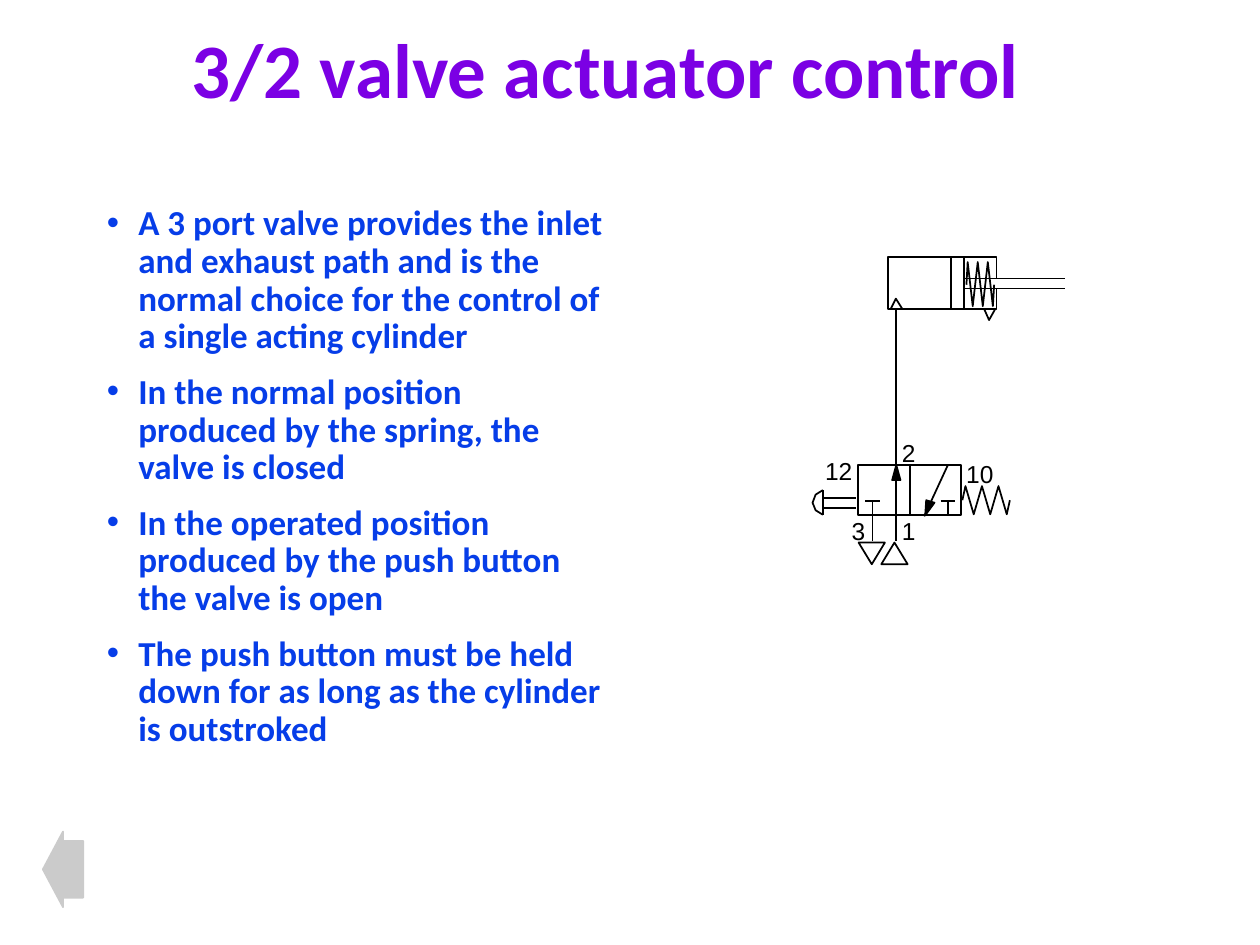
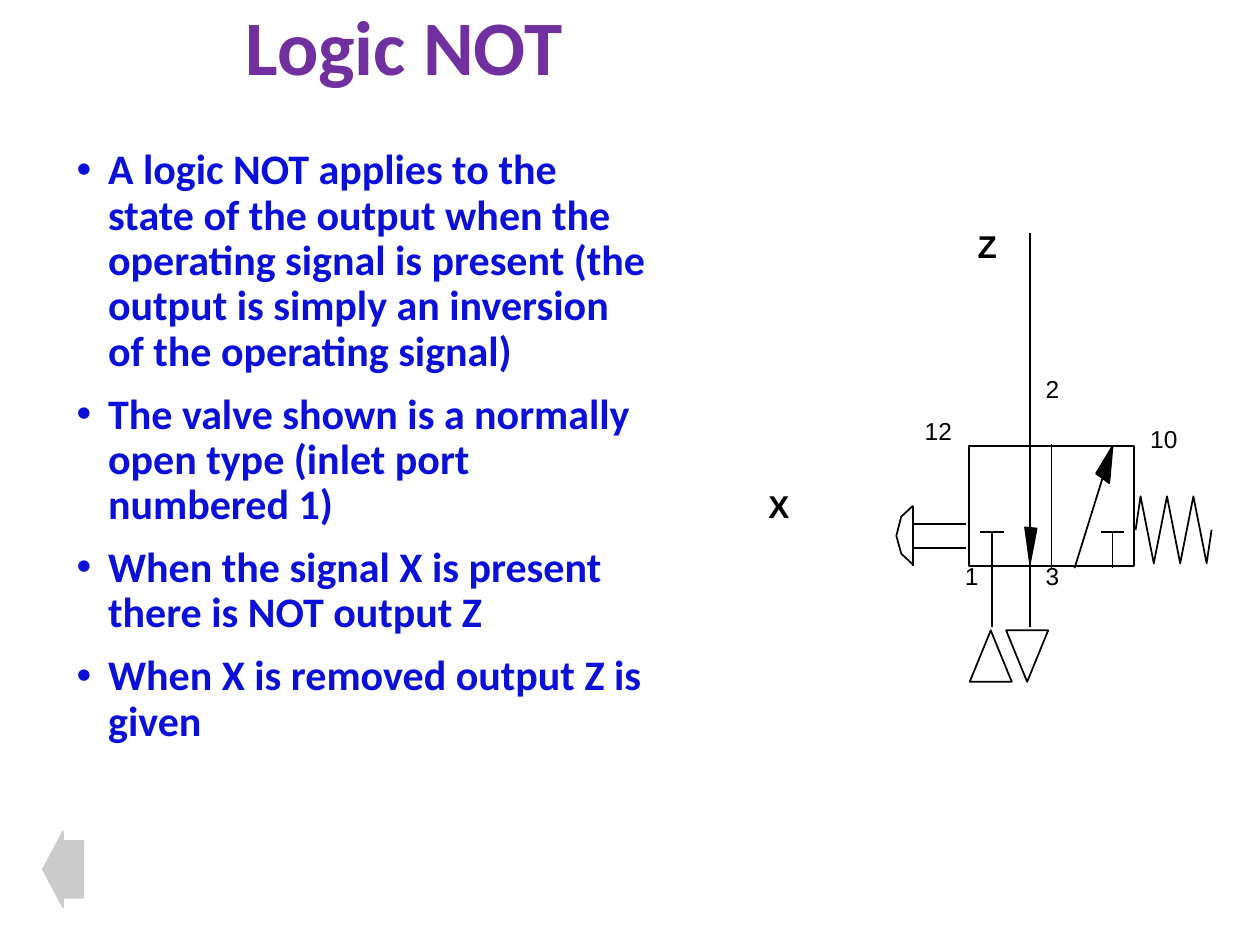
from dataclasses import dataclass

from lxml import etree
from pptx import Presentation
from pptx.dml.color import RGBColor
from pptx.enum.shapes import MSO_CONNECTOR, MSO_SHAPE
from pptx.enum.text import MSO_ANCHOR, MSO_AUTO_SIZE, PP_ALIGN
from pptx.oxml.ns import qn
from pptx.util import Inches, Pt

STRAIGHT = MSO_CONNECTOR.STRAIGHT
RECT = MSO_SHAPE.RECTANGLE
TRIANGLE = MSO_SHAPE.ISOSCELES_TRIANGLE
BACK = MSO_SHAPE.LEFT_ARROW
TOP, MIDDLE = MSO_ANCHOR.TOP, MSO_ANCHOR.MIDDLE
NO_FIT = MSO_AUTO_SIZE.NONE
LEFT = PP_ALIGN.LEFT

COLORS = {
    "black": "000000",
    "gray": "CBCBCB",
    "violet": "7B00E4",
    "purple": "7030A0",
    "azure": "063DE8",
    "blue": "0A0FDA",
}

Point = tuple[float, float]


@dataclass
class Label:
    text: str
    x: float
    y: float
    size: int = 14
    bold: bool = False


@dataclass
class Valve:
    x: float
    y: float
    w: float
    h: float
    heads: list[list[Point]]
    turns: tuple[int, int]
    out: float
    labels: list[Label]

    def at(self, u: float, v: float) -> Point:
        return self.x + u * self.w, self.y + v * self.h


@dataclass
class Page:
    title: str
    spot: Point
    hue: str
    box: tuple[float, float, float, float]
    size: int
    ink: str
    points: list[str]
    valve: Valve


def color(name: str) -> RGBColor:
    return RGBColor.from_string(COLORS[name])


def write(frame, *lines: str, size: int, font: str = "Arial", ink: str = "black",
          bold: bool = False, wrap: bool = False, anchor=TOP,
          space: float | None = None, gap: int = 0, bullet: bool = False) -> None:
    frame.word_wrap = wrap
    frame.auto_size = NO_FIT
    frame.vertical_anchor = anchor
    for i, line in enumerate(lines):
        para = frame.paragraphs[0] if i == 0 else frame.add_paragraph()
        if bullet:
            props = para._p.get_or_add_pPr()
            props.set("marL", str(Inches(0.25)))
            props.set("indent", str(-Inches(0.25)))
            tint = etree.SubElement(props, qn("a:buClr"))
            etree.SubElement(tint, qn("a:srgbClr"), val=COLORS[ink])
            etree.SubElement(props, qn("a:buFont"), typeface="Arial")
            etree.SubElement(props, qn("a:buChar"), char="•")
        para.alignment = LEFT
        para.line_spacing = space
        para.space_before = Pt(gap if i else 0)
        run = para.add_run()
        run.text = line
        run.font.size = Pt(size)
        run.font.name = font
        run.font.bold = bold
        run.font.color.rgb = color(ink)


def add_box(slide, x: float, y: float, w: float, h: float):
    return slide.shapes.add_textbox(Inches(x), Inches(y), Inches(w), Inches(h)).text_frame


def style(shape, fill: str | None = None, edge: str = "black") -> None:
    shape.shadow.inherit = False
    if fill:
        shape.fill.solid()
        shape.fill.fore_color.rgb = color(fill)
    else:
        shape.fill.background()
    shape.line.color.rgb = color(edge)
    shape.line.width = Pt(1)


def add_form(slide, kind, x: float, y: float, w: float, h: float,
             fill: str | None = None, edge: str = "black", turn: int = 0):
    shape = slide.shapes.add_shape(kind, Inches(x), Inches(y), Inches(w), Inches(h))
    style(shape, fill, edge)
    shape.rotation = turn
    return shape


def add_line(slide, start: Point, end: Point) -> None:
    line = slide.shapes.add_connector(STRAIGHT, *map(Inches, start + end))
    line.line.color.rgb = color("black")
    line.line.width = Pt(1)
    etree.SubElement(line._element.spPr, qn("a:effectLst"))


def add_path(slide, dots: list[Point], fill: str | None = None) -> None:
    first, *rest = [(Inches(x), Inches(y)) for x, y in dots]
    form = slide.shapes.build_freeform(*first, scale=1.0)
    form.add_line_segments(rest, close=fill is not None)
    style(form.convert_to_shape(), fill)


def zigzag(x: float, step: float, high: float, low: float, mid: float,
           lead: float) -> list[Point]:
    peaks = [(x + lead + i * step, low if i % 2 else high) for i in range(6)]
    return [(x, mid), *peaks, (x + 2 * lead + 5 * step, mid)]


def draw_valve(slide, valve: Valve) -> None:
    at = valve.at
    add_form(slide, RECT, valve.x, valve.y, valve.w, valve.h)
    for start, end in VALVE_LINES:
        add_line(slide, at(*start), at(*end))
    for dots in (BUTTON, SPRING):
        add_path(slide, [at(*dot) for dot in dots])
    for head in valve.heads:
        add_path(slide, [at(*dot) for dot in head], "black")
    for u, turn in zip((0.005, 0.225), valve.turns):
        add_form(slide, TRIANGLE, *at(u, 1.54), 0.255 * valve.w, 0.43 * valve.h, turn=turn)
    port = at(PORT, 0)
    add_line(slide, (port[0], valve.out), port)
    for label in valve.labels:
        frame = add_box(slide, label.x, label.y, 0.2 + 0.11 * len(label.text), 0.33)
        write(frame, label.text, size=label.size, bold=label.bold)


def draw_ram(slide) -> None:
    left, right, top, base = 7.05, 7.91, 2.04, 2.45
    rod = (2.21, 2.29)
    add_path(slide, [(right, rod[0]), (right, top), (left, top),
                     (left, base), (right, base), (right, rod[1])])
    add_path(slide, zigzag(7.67, 0.04, 2.08, 2.43, 2.26, 0.01))
    for x, y, tip in ((7.07, base, 2.37), (7.81, base, 2.54)):
        add_path(slide, [(x, y), (x + 0.04, tip), (x + 0.09, y)])
    for y in rod:
        add_line(slide, (7.66, y), (8.45, y))
    for x in (7.55, 7.65):
        add_line(slide, (x, top), (x, base + 0.01))


def draw_page(deck, page: Page):
    slide = deck.slides.add_slide(deck.slide_layouts[5])
    title = slide.shapes.title
    title.left, title.top = map(Inches, page.spot)
    title.width, title.height = Inches(7.47), Inches(0.81)
    write(title.text_frame, page.title, size=44, font="Calibri", ink=page.hue,
          bold=True, wrap=True, anchor=MIDDLE, space=0.9)
    write(add_box(slide, *page.box), *page.points, size=page.size, font="Calibri",
          ink=page.ink, bold=True, wrap=True, space=0.9, gap=10, bullet=True)
    draw_valve(slide, page.valve)
    arrow = add_form(slide, BACK, 0.34, 6.6, 0.32, 0.6, "gray", "gray")
    arrow.adjustments[0] = 0.75
    arrow.adjustments[1] = 0.5
    return slide


PORT, VENT, STOP = 0.37, 0.14, 0.87
VALVE_LINES = [
    ((0.5, -0.02), (0.5, 1.02)),
    ((STOP, 0), (0.64, 1.02)),
    ((PORT, 0), (PORT, 1.51)),
    ((VENT, 0.72), (VENT, 1.51)),
    ((STOP, 0.72), (STOP, 1.02)),
    *[((u - 0.07, 0.72), (u + 0.07, 0.72)) for u in (VENT, STOP)],
    *[((-0.34, v), (-0.02, v)) for v in (0.65, 0.85)],
    ((-0.34, 0.5), (-0.34, 1)),
]
BUTTON = [(-0.34, 0.5), (-0.41, 0.59), (-0.44, 0.75), (-0.41, 0.9), (-0.34, 0.99)]
SPRING = zigzag(1.01, 0.08, 0.42, 0.98, 0.7, 0.03)

PAGES = [
    Page(
        "3/2 valve actuator control", (1.42, 0.18), "violet",
        (0.75, 1.58, 4.17, 4.92), 20, "azure",
        [
            "A 3 port valve provides the inlet and exhaust path and is the normal "
            "choice for the control of a single acting cylinder",
            "In the normal position produced by the spring, the valve is closed",
            "In the operated position produced by the push button the valve is open",
            "The push button must be held down for as long as the cylinder is outstroked",
        ],
        Valve(
            6.81, 3.69, 0.82, 0.4,
            [[(PORT, 0), (0.33, 0.3), (0.41, 0.3)],
             [(0.65, 1), (0.66, 0.7), (0.74, 0.75)]],
            (180, 0), 2.46,
            [Label("1", 7.06, 4.05), Label("2", 7.06, 3.43), Label("3", 6.66, 4.05),
             Label("12", 6.45, 3.57), Label("10", 7.57, 3.59)],
        ),
    ),
    Page(
        "Logic NOT", (1.85, 0), "purple",
        (0.51, 1.13, 4.73, 4.92), 24, "blue",
        [
            "A logic NOT applies to the state of the output when the operating signal "
            "is present (the output is simply an inversion of the operating signal)",
            "The valve shown is a normally open type (inlet port numbered 1)",
            "When the signal X is present there is NOT output Z",
            "When X is removed output Z is given",
        ],
        Valve(
            7.69, 3.54, 1.31, 0.95,
            [[(PORT, 0.98), (0.34, 0.68), (0.41, 0.69)],
             [(STOP, 0), (0.85, 0.31), (0.77, 0.23)]],
            (0, 180), 1.85,
            [Label("1", 7.56, 4.4), Label("2", 8.2, 2.92), Label("3", 8.2, 4.4),
             Label("12", 7.24, 3.25), Label("10", 9.03, 3.32),
             Label("Z", 7.66, 1.75, 18, True), Label("X", 6, 3.82, 18, True)],
        ),
    ),
]


def main() -> None:
    deck = Presentation()
    deck.slide_width, deck.slide_height = Inches(10), Inches(7.5)
    slides = [draw_page(deck, page) for page in PAGES]
    draw_ram(slides[0])
    deck.save("out.pptx")


if __name__ == "__main__":
    main()
